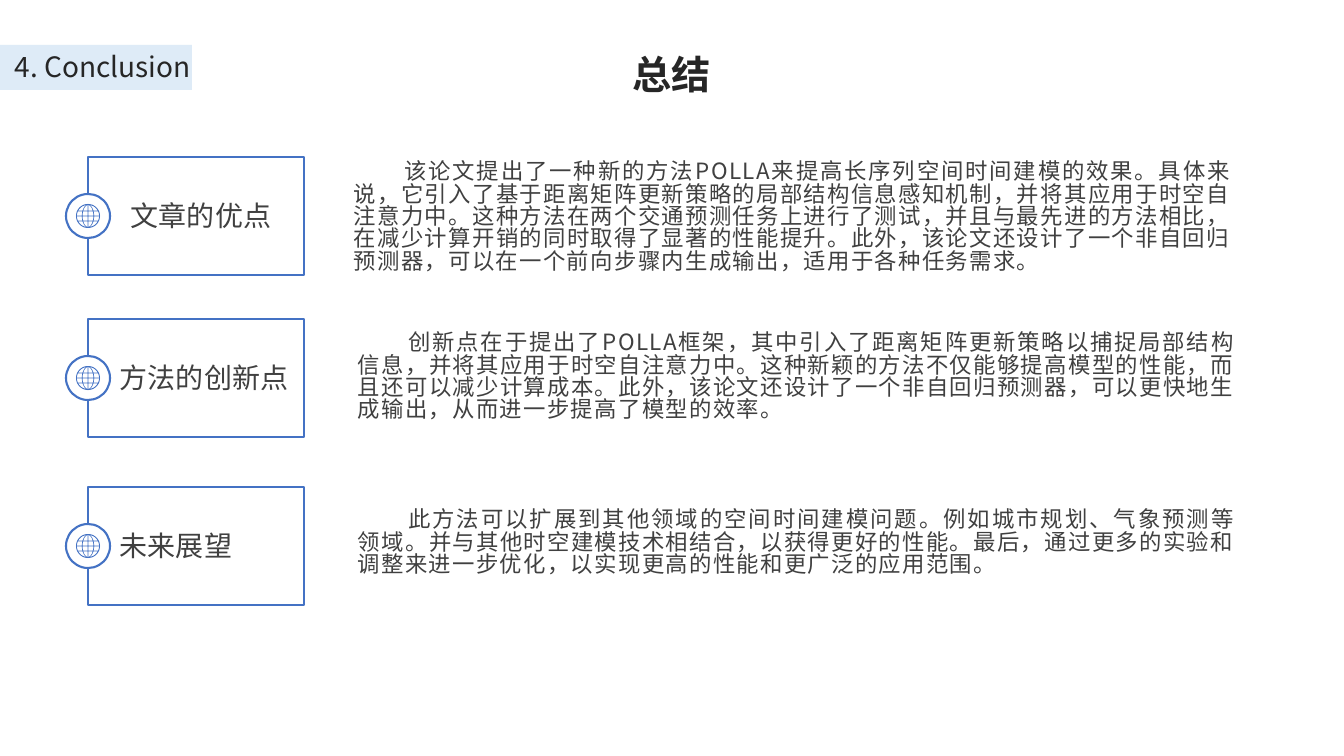
from dataclasses import dataclass
from math import cos, pi, sin, sqrt

from lxml.etree import SubElement
from pptx import Presentation
from pptx.dml.color import RGBColor
from pptx.enum.shapes import MSO_SHAPE
from pptx.enum.text import MSO_ANCHOR, MSO_AUTO_SIZE, PP_ALIGN
from pptx.oxml.ns import qn
from pptx.shapes.autoshape import Shape
from pptx.slide import Slide
from pptx.util import Emu, Inches, Pt

PX = 914400 / 100.8
FONT = "Noto Sans CJK SC"
INK = {"dark": "262626", "text": "404040", "blue": "4472C4", "pale": "DEEBF7", "white": "FFFFFF"}
STYLES = {
    "title": {"size": Pt(28), "bold": True},
    "head": {"size": Pt(20)},
    "body": {"size": Pt(16)},
}
GLOBE_R, RIM_R = 1200, 1110  # hundredths of a px


@dataclass
class Box:
    x: int
    y: int
    w: int
    h: int

    def emu(self) -> list[Emu]:
        return [px(n) for n in (self.x, self.y, self.w, self.h)]


@dataclass
class Topic:
    top: int
    label: str
    label_x: int
    body: str
    area: Box


TOPICS = [
    Topic(157, "文章的优点", 121,
          "该论文提出了一种新的方法POLLA来提高长序列空间时间建模的效果。具体来说，它引入了基于距离矩阵更新策略的"
          "局部结构信息感知机制，并将其应用于时空自注意力中。这种方法在两个交通预测任务上进行了测试，并且与最先进的"
          "方法相比，在减少计算开销的同时取得了显著的性能提升。此外，该论文还设计了一个非自回归预测器，可以在一个前向"
          "步骤内生成输出，适用于各种任务需求。", Box(344, 157, 898, 131)),
    Topic(319, "方法的创新点", 110,
          "创新点在于提出了POLLA框架，其中引入了距离矩阵更新策略以捕捉局部结构信息，并将其应用于时空自注意力中。"
          "这种新颖的方法不仅能够提高模型的性能，而且还可以减少计算成本。此外，该论文还设计了一个非自回归预测器，"
          "可以更快地生成输出，从而进一步提高了模型的效率。", Box(348, 328, 898, 100)),
    Topic(487, "未来展望", 110,
          "此方法可以扩展到其他领域的空间时间建模问题。例如城市规划、气象预测等领域。并与其他时空建模技术相结合，"
          "以获得更好的性能。最后，通过更多的实验和调整来进一步优化，以实现更高的性能和更广泛的应用范围。",
          Box(348, 505, 898, 100)),
]


def px(n: float) -> Emu:
    return Emu(round(n * PX))


def rgb(name: str) -> RGBColor:
    return RGBColor.from_string(INK[name])


def write(shape: Shape, text: str, style: str, ink: str, align: PP_ALIGN) -> None:
    frame = shape.text_frame
    frame.word_wrap = True
    frame.auto_size = MSO_AUTO_SIZE.NONE
    frame.vertical_anchor = MSO_ANCHOR.TOP
    para = frame.paragraphs[0]
    para.alignment = align
    run = para.add_run()
    run.text = text
    for key, value in {"name": FONT, **STYLES[style]}.items():
        setattr(run.font, key, value)
    run.font.color.rgb = rgb(ink)
    props = run._r.get_or_add_rPr()
    SubElement(props, qn("a:ea"), typeface=FONT)
    if style == "body":
        para.line_spacing = Pt(16)
        para._p.get_or_add_pPr().set("indent", str(Inches(0.5)))
        props.set("spc", "100")


def add_text(slide: Slide, box: Box, text: str, style: str, ink: str, align: PP_ALIGN) -> None:
    write(slide.shapes.add_textbox(*box.emu()), text, style, ink, align)


def paint(shape: Shape, fill: str = "", line: str = "") -> None:
    shape.shadow.inherit = False
    if fill:
        shape.fill.solid()
        shape.fill.fore_color.rgb = rgb(fill)
    else:
        shape.fill.background()
    if line:
        shape.line.color.rgb = rgb(line)
        shape.line.width = Pt(1.5)
    else:
        shape.line.fill.background()


def add_shape(slide: Slide, kind: MSO_SHAPE, box: Box, fill: str = "", line: str = "") -> None:
    paint(slide.shapes.add_shape(kind, *box.emu()), fill, line)


def pane(left: float, right: float, top: int, low: int) -> list[tuple[float, float]]:
    """Outline one gap between two meridians and two parallels."""
    rows = [top + (low - top) * i / 6 for i in range(7)]

    def edge(side: float, shift: int, y: float) -> tuple[float, float]:
        return side * sqrt(RIM_R ** 2 - y ** 2) + shift, y

    return ([edge(left, 35 if left > -1 else 0, y) for y in rows]
            + [edge(right, -35 if right < 1 else 0, y) for y in reversed(rows)])


def add_globe(slide: Slide, x: int, y: int) -> None:
    """Draw a disc, centred on x and y, with panes cut out of it."""
    turns = [2 * pi * i / 48 for i in range(48)]
    rings = [[(GLOBE_R * cos(t), GLOBE_R * sin(t)) for t in turns]]
    sides = [-1, -0.52, 0, 0.52, 1]
    bands = [(-1080, -540), (-470, -35), (35, 470), (540, 1080)]
    rings += [pane(a, b, *band) for a, b in zip(sides, sides[1:]) for band in bands]
    pen = slide.shapes.build_freeform(*rings[0][0], scale=PX / 100)
    for ring in rings:
        pen.move_to(*ring[0])
        pen.add_line_segments(ring[1:], close=True)
    paint(pen.convert_to_shape(px(x), px(y)), "blue")


def add_topic(slide: Slide, topic: Topic) -> None:
    left, mid, rad = 88, topic.top + 59, 22
    add_shape(slide, MSO_SHAPE.RECTANGLE, Box(left, topic.top, 216, 118), line="blue")
    add_shape(slide, MSO_SHAPE.OVAL, Box(left - rad, mid - rad, 2 * rad, 2 * rad), "white", "blue")
    add_globe(slide, left, mid)
    add_text(slide, Box(topic.label_x, mid - rad, 223, 44), topic.label, "head", "text", PP_ALIGN.JUSTIFY)
    add_text(slide, topic.area, topic.body, "body", "text", PP_ALIGN.JUSTIFY)


def main() -> None:
    deck = Presentation()
    deck.slide_width, deck.slide_height = px(1344), px(756)
    slide = deck.slides.add_slide(deck.slide_layouts[5])
    title = slide.shapes.title
    title.left, title.top, title.width, title.height = Box(348, 45, 647, 57).emu()
    write(title, "总结", "title", "dark", PP_ALIGN.CENTER)
    add_shape(slide, MSO_SHAPE.RECTANGLE, Box(0, 45, 192, 45), "pale")
    add_text(slide, Box(5, 45, 262, 44), "4. Conclusion", "head", "dark", PP_ALIGN.LEFT)
    for topic in TOPICS:
        add_topic(slide, topic)
    deck.save("out.pptx")


if __name__ == "__main__":
    main()
